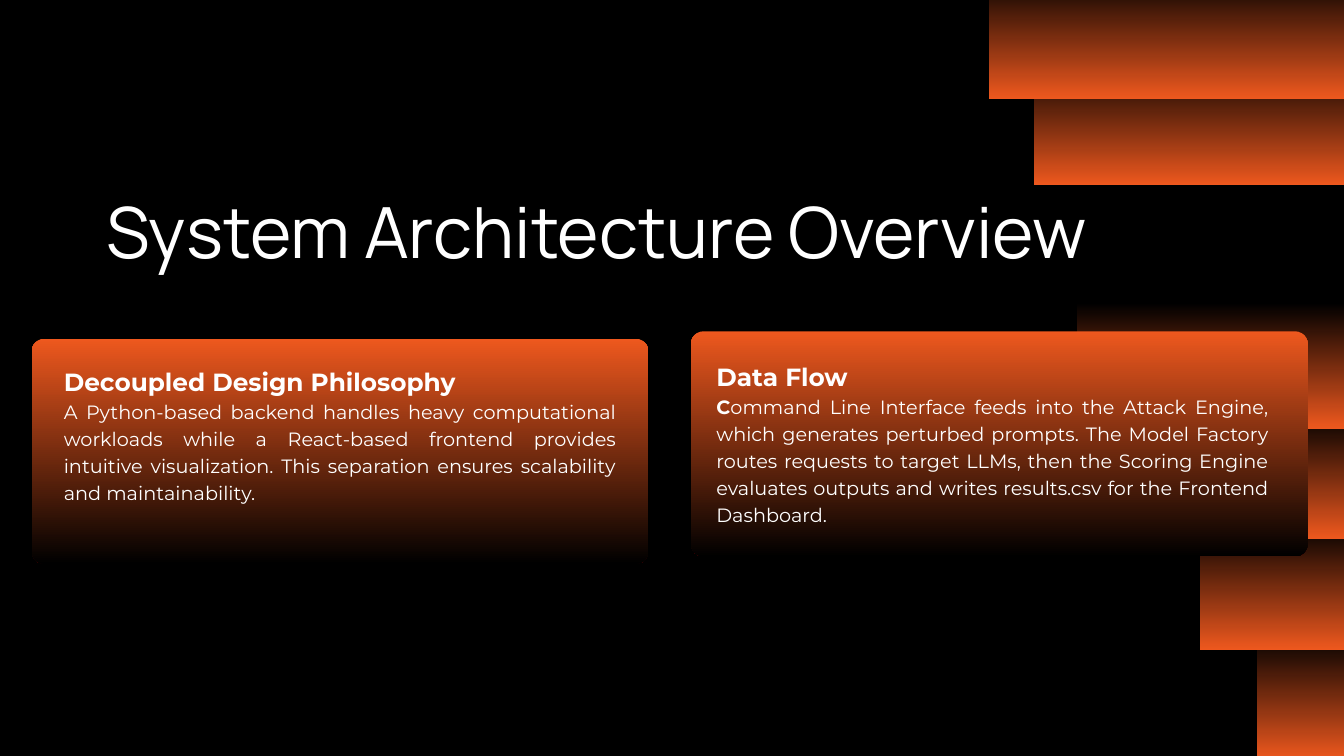
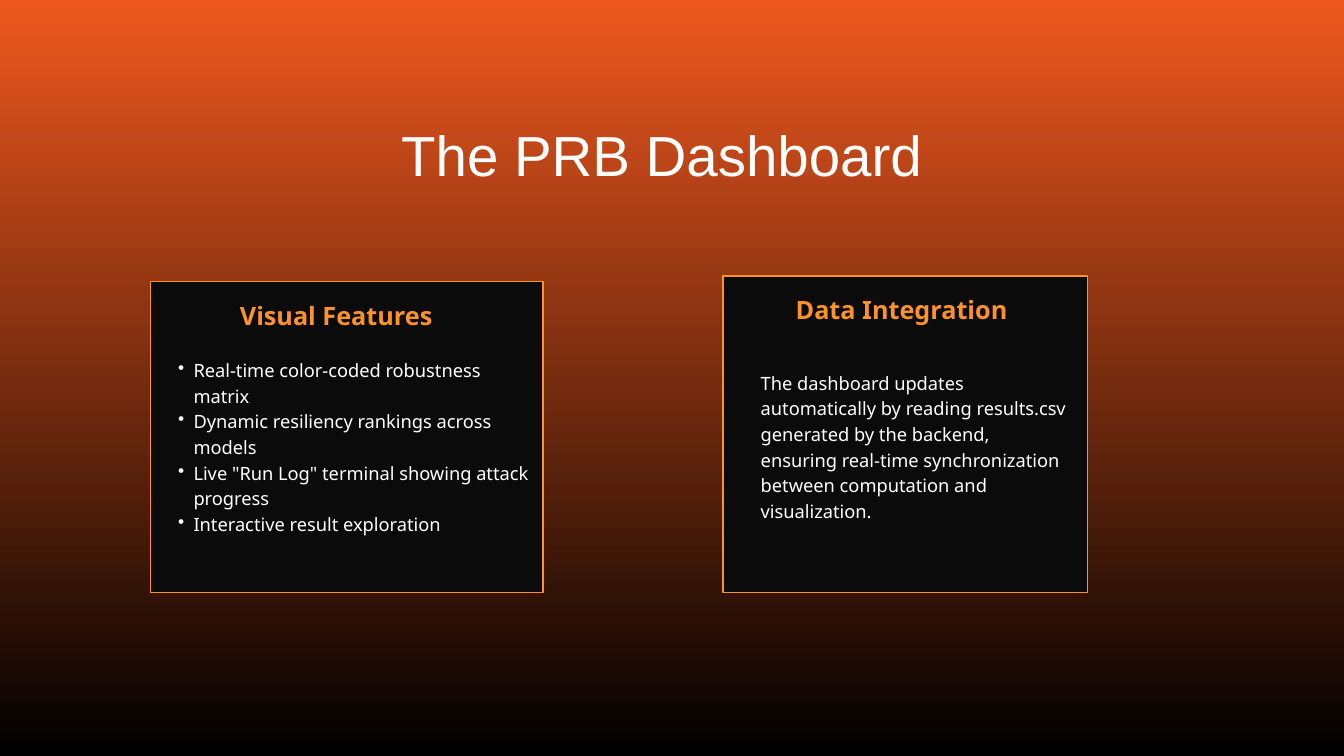
"""Build the architecture overview and dashboard slides."""
from dataclasses import dataclass
from lxml import etree
from pptx import Presentation
from pptx.dml.color import RGBColor
from pptx.enum.shapes import MSO_SHAPE
from pptx.enum.text import MSO_ANCHOR, MSO_AUTO_SIZE, PP_ALIGN
from pptx.oxml.ns import qn
from pptx.util import Inches, Pt

RECTANGLE = MSO_SHAPE.RECTANGLE
ROUNDED = MSO_SHAPE.ROUNDED_RECTANGLE
LEFT, JUSTIFY = PP_ALIGN.LEFT, PP_ALIGN.JUSTIFY
TOP, NO_FIT = MSO_ANCHOR.TOP, MSO_AUTO_SIZE.NONE
TITLE_ONLY = 5


@dataclass(frozen=True)
class TextStyle:
    """Font, size, line pitch, colour and weight of a kind of text."""
    font: str
    size: float
    pitch: float
    color: str = "FFFFFF"
    bold: bool = False


class Theme:
    """Colours and text styles of the deck."""
    black, orange = "000000", "EE581E"
    card, accent = "0B0B0B", "FD922A"
    overview_title = TextStyle("Manrope", 75.6, 75.6)
    panel_heading = TextStyle("Montserrat", 26.6, 37.2, bold=True)
    panel_body = TextStyle("Montserrat", 20.6, 28.8)
    dashboard_title = TextStyle("Arial", 60.5, 84.7)
    card_heading = TextStyle("Noto Sans", 27, 37.8, accent, True)
    card_body = TextStyle("Noto Sans", 19.6, 27.5)


OVERVIEW_TITLE = "System Architecture Overview"
PANEL_SIZE, PANEL_RADIUS = (9.18, 3.35), 0.19
PANELS = [
    dict(at=(0.47, 5.04), text_box=(0.95, 5.39, 8.22, 2.49),
         heading="Decoupled Design Philosophy", lead="",
         body="A Python-based backend handles heavy computational workloads while a "
              "React-based frontend provides intuitive visualization. This separation "
              "ensures scalability and maintainability."),
    dict(at=(10.28, 4.93), text_box=(10.66, 5.31, 8.22, 3.28),
         heading="Data Flow", lead="C",
         body="ommand Line Interface feeds into the Attack Engine, which generates "
              "perturbed prompts. The Model Factory routes requests to target LLMs, then "
              "the Scoring Engine evaluates outputs and writes results.csv for the "
              "Frontend Dashboard."),
]
STAIR_SIZE = (8.72, 1.87)
STAIRS = [(18.7, 9.44), (17.85, 7.8), (16.86, 6.15), (16.02, 4.51),
          (15.38, 0.89), (14.71, -0.4)]

DASHBOARD_TITLE = "The PRB Dashboard"
CARDS = [
    dict(box=(2.24, 4.19, 5.84, 4.63), heading="Visual Features",
         heading_box=(3.57, 4.39, 3.26, 1.03), body_box=(2.42, 5.29, 5.53, 3.05),
         bullet=True,
         body=["Real-time color-coded robustness matrix",
               "Dynamic resiliency rankings across models",
               'Live "Run Log" terminal showing attack progress',
               "Interactive result exploration"]),
    dict(box=(10.76, 4.11, 5.42, 4.71), heading="Data Integration",
         heading_box=(11.84, 4.31, 3.26, 1.03), body_box=(11.32, 5.48, 4.59, 2.67),
         bullet=False,
         body=["The dashboard updates automatically by reading results.csv generated "
               "by the backend, ensuring real-time synchronization between computation "
               "and visualization."]),
]


def inches(box):
    return [Inches(length) for length in box]


def shade(fill, top, bottom):
    fill.gradient()
    fill.gradient_angle = 270
    for stop, color in zip(fill.gradient_stops, (top, bottom)):
        stop.color.rgb = RGBColor.from_string(color)


def add_block(slide, box, preset=RECTANGLE):
    block = slide.shapes.add_shape(preset, *inches(box))
    block.shadow.inherit = False
    block.line.fill.background()
    return block


def prepare(frame):
    frame.word_wrap = True
    frame.auto_size = NO_FIT
    frame.vertical_anchor = TOP
    frame.margin_left = frame.margin_right = frame.margin_top = frame.margin_bottom = 0
    return frame


def add_frame(slide, box):
    return prepare(slide.shapes.add_textbox(*inches(box)).text_frame)


def write(frame, text, style, align=LEFT, lead="", bullet=False):
    paragraph = frame.paragraphs[0]
    if paragraph.runs:
        paragraph = frame.add_paragraph()
    paragraph.alignment = align
    paragraph.line_spacing = Pt(style.pitch)
    if bullet:
        properties = paragraph._p.get_or_add_pPr()
        properties.set("marL", str(Inches(0.46)))
        properties.set("indent", str(Inches(-0.23)))
        etree.SubElement(properties, qn("a:buChar")).set("char", "•")
    for words, bold in ((lead, True), (text, style.bold)):
        if words:
            run = paragraph.add_run()
            run.text = words
            run.font.name = style.font
            run.font.size = Pt(style.size)
            run.font.bold = bold
            run.font.color.rgb = RGBColor.from_string(style.color)


def add_slide(deck, title, box, style):
    slide = deck.slides.add_slide(deck.slide_layouts[TITLE_ONLY])
    heading = slide.shapes.title
    heading.left, heading.top, heading.width, heading.height = inches(box)
    write(prepare(heading.text_frame), title, style)
    return slide


def add_panel(slide, panel):
    block = add_block(slide, panel["at"] + PANEL_SIZE, ROUNDED)
    block.adjustments[0] = PANEL_RADIUS / PANEL_SIZE[1]
    shade(block.fill, Theme.orange, Theme.black)
    frame = add_frame(slide, panel["text_box"])
    write(frame, panel["heading"], Theme.panel_heading, align=JUSTIFY)
    write(frame, panel["body"], Theme.panel_body, align=JUSTIFY, lead=panel["lead"])


def build_overview(deck):
    slide = add_slide(deck, OVERVIEW_TITLE, (1.58, 3.01, 16.83, 2.21), Theme.overview_title)
    slide.background.fill.solid()
    slide.background.fill.fore_color.rgb = RGBColor.from_string(Theme.black)
    for corner in STAIRS:
        shade(add_block(slide, corner + STAIR_SIZE).fill, Theme.black, Theme.orange)
    for panel in PANELS:
        add_panel(slide, panel)


def build_dashboard(deck):
    slide = add_slide(deck, DASHBOARD_TITLE, (5.97, 1.62, 8.06, 2.31), Theme.dashboard_title)
    shade(slide.background.fill, Theme.orange, Theme.black)
    for card in CARDS:
        block = add_block(slide, card["box"])
        block.fill.solid()
        block.fill.fore_color.rgb = RGBColor.from_string(Theme.card)
        block.line.color.rgb = RGBColor.from_string(Theme.accent)
        block.line.width = Pt(1.5)
        write(add_frame(slide, card["heading_box"]), card["heading"], Theme.card_heading)
        frame = add_frame(slide, card["body_box"])
        for line in card["body"]:
            write(frame, line, Theme.card_body, bullet=card["bullet"])


def main():
    deck = Presentation()
    deck.slide_width, deck.slide_height = inches((20, 11.25))
    build_overview(deck)
    build_dashboard(deck)
    deck.save("out.pptx")


if __name__ == "__main__":
    main()
